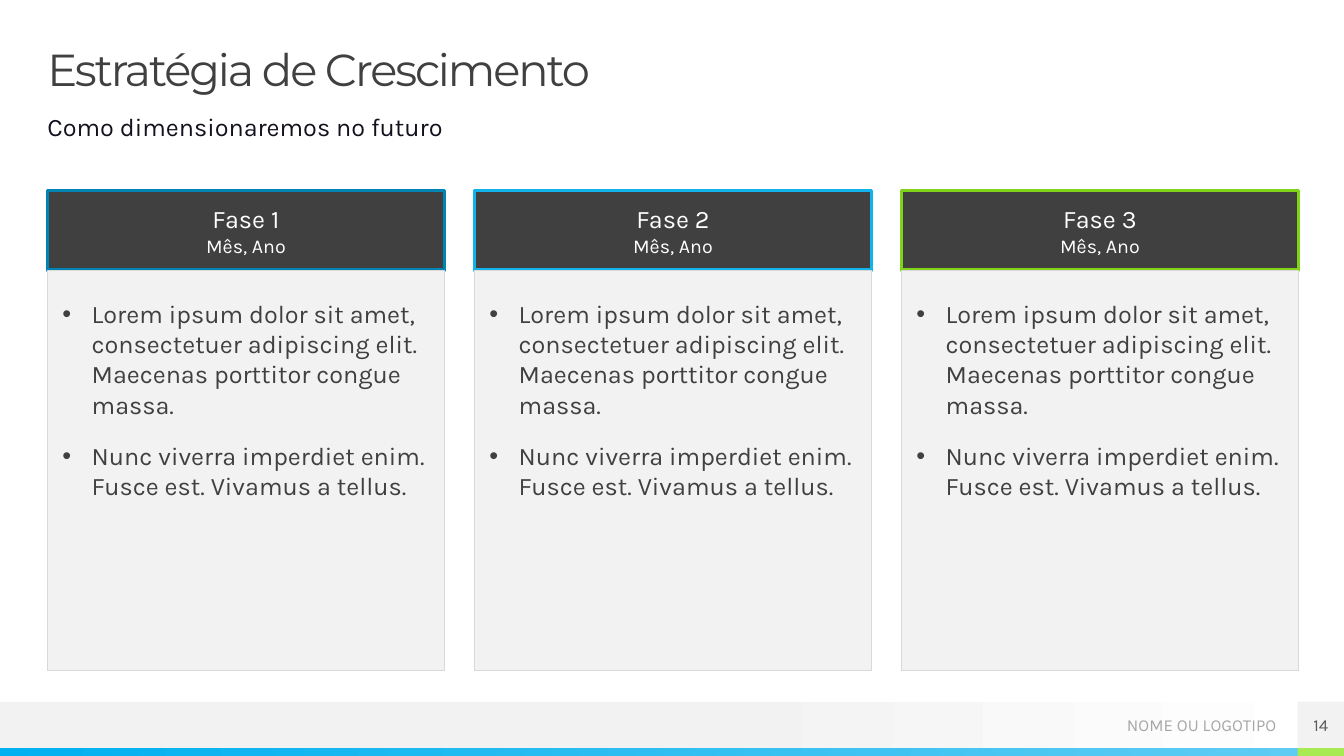
from dataclasses import dataclass

from lxml import etree
from pptx import Presentation
from pptx.dml.color import RGBColor
from pptx.enum import shapes, text
from pptx.oxml import ns
from pptx.util import Inches, Pt

TITLE = "Estratégia de Crescimento"
SUBTITLE = "Como dimensionaremos no futuro"
GOALS = [
    "Lorem ipsum dolor sit amet, consectetuer adipiscing elit. Maecenas porttitor congue massa.",
    "Nunc viverra imperdiet enim. Fusce est. Vivamus a tellus.",
]
PHASES = [
    ("Fase 1", "Mês, Ano", "0084B4", GOALS),
    ("Fase 2", "Mês, Ano", "12B2EB", GOALS),
    ("Fase 3", "Mês, Ano", "81D31A", GOALS),
]
FOOTER = "NOME OU LOGOTIPO"
PAGE_NUMBER = "14"


@dataclass(frozen=True)
class Theme:
    heading_font: str = "Montserrat"
    body_font: str = "Karla"
    title_size: int = 32
    body_size: int = 18
    date_size: int = 14
    footer_size: int = 12
    dark: str = "404040"
    ink: str = "12121E"
    white: str = "FFFFFF"
    panel: str = "F2F2F2"
    panel_line: str = "D9D9D9"
    footer_text: str = "A6A6A6"
    number_text: str = "595959"
    bar_start: str = "00B0F0"
    bar_end: str = "5ECCF3"
    corner: str = "A7EA52"


THEME = Theme()
SLIDE_WIDTH, SLIDE_HEIGHT = 13.33, 7.5
MARGIN, CONTENT_WIDTH = 0.47, 12.41
CARD_WIDTH, HEADER_TOP, HEADER_HEIGHT, PANEL_HEIGHT = 3.94, 1.89, 0.79, 3.97
FOOTER_TOP, FOOTER_HEIGHT, BAR_HEIGHT = 6.96, 0.46, 0.08
CORNER_LEFT = SLIDE_WIDTH - FOOTER_HEIGHT
BAR_TOP = SLIDE_HEIGHT - BAR_HEIGHT


def add_box(slide, box, fill, line=None, line_width=0.75):
    """Add a rectangle; fill is one colour or a list of (position, colour) stops."""
    shape = slide.shapes.add_shape(shapes.MSO_SHAPE.RECTANGLE, *map(Inches, box))
    shape.shadow.inherit = False
    if isinstance(fill, str):
        shape.fill.solid()
        shape.fill.fore_color.rgb = RGBColor.from_string(fill)
    else:
        shape.fill.gradient()
        shape.fill.gradient_angle = 0
        for stop, (position, color) in zip(shape.fill.gradient_stops, fill):
            stop.position = position
            stop.color.rgb = RGBColor.from_string(color)
    if line:
        shape.line.color.rgb = RGBColor.from_string(line)
        shape.line.width = Pt(line_width)
    else:
        shape.line.fill.background()
    return shape


def set_frame(shape, insets=(0, 0, 0, 0), anchor=text.MSO_ANCHOR.TOP):
    frame = shape.text_frame
    frame.word_wrap = True
    frame.auto_size = text.MSO_AUTO_SIZE.NONE
    frame.vertical_anchor = anchor
    (frame.margin_left, frame.margin_top,
     frame.margin_right, frame.margin_bottom) = map(Inches, insets)
    return frame


def format_paragraph(paragraph, alignment=text.PP_ALIGN.LEFT, before=0, after=0):
    paragraph.alignment = alignment
    paragraph.space_before, paragraph.space_after = Pt(before), Pt(after)
    return paragraph


def add_run(paragraph, words, size, color, font=THEME.body_font):
    run = paragraph.add_run()
    run.text = words
    run.font.name = font
    run.font.size = Pt(size)
    run.font.color.rgb = RGBColor.from_string(color)
    return run


def set_bullet(paragraph, color):
    properties = paragraph._p.get_or_add_pPr()
    indent = Inches(0.29)
    properties.set("marL", str(indent))
    properties.set("indent", str(-indent))
    bullet_color = etree.SubElement(properties, ns.qn("a:buClr"))
    etree.SubElement(bullet_color, ns.qn("a:srgbClr"), val=color)
    etree.SubElement(properties, ns.qn("a:buFont"), typeface="Arial")
    etree.SubElement(properties, ns.qn("a:buChar"), char="•")


def add_text_box(slide, box):
    return slide.shapes.add_textbox(*map(Inches, box))


def add_footer(slide):
    add_box(slide, (0, FOOTER_TOP, SLIDE_WIDTH, FOOTER_HEIGHT),
            [(0.53, THEME.panel), (1, THEME.white)])
    add_box(slide, (0, BAR_TOP, CORNER_LEFT, BAR_HEIGHT),
            [(0, THEME.bar_start), (1, THEME.bar_end)])
    add_box(slide, (CORNER_LEFT, BAR_TOP, FOOTER_HEIGHT, BAR_HEIGHT), THEME.corner)
    name = add_text_box(slide, (10.42, FOOTER_TOP, 2.24, 0.47))
    number = add_box(slide, (CORNER_LEFT, FOOTER_TOP, FOOTER_HEIGHT, FOOTER_HEIGHT), THEME.panel)
    for shape, words, color, alignment in (
        (name, FOOTER, THEME.footer_text, text.PP_ALIGN.RIGHT),
        (number, PAGE_NUMBER, THEME.number_text, text.PP_ALIGN.CENTER),
    ):
        frame = set_frame(shape, anchor=text.MSO_ANCHOR.MIDDLE)
        paragraph = format_paragraph(frame.paragraphs[0], alignment)
        add_run(paragraph, words, THEME.footer_size, color)


def add_headings(slide):
    title = slide.shapes.title
    title.left, title.top, title.width, title.height = map(
        Inches, (MARGIN, 0.47, CONTENT_WIDTH, 0.47))
    paragraph = format_paragraph(set_frame(title).paragraphs[0])
    paragraph.line_spacing = 0.9
    run = add_run(paragraph, TITLE, THEME.title_size, THEME.dark, THEME.heading_font)
    run.font._element.set("spc", "-150")

    subtitle = add_text_box(slide, (MARGIN, 1.1, CONTENT_WIDTH, 0.39))
    paragraph = format_paragraph(set_frame(subtitle).paragraphs[0], before=10, after=5)
    add_run(paragraph, SUBTITLE, THEME.body_size, THEME.ink)


def add_phase(slide, left, name, date, accent, goals):
    header = add_box(slide, (left, HEADER_TOP, CARD_WIDTH, HEADER_HEIGHT),
                     THEME.dark, accent, 2.5)
    frame = set_frame(header, (0.12, 0.04, 0.12, 0.04), text.MSO_ANCHOR.MIDDLE)
    paragraph = format_paragraph(frame.paragraphs[0], text.PP_ALIGN.CENTER, 10, 5)
    add_run(paragraph, name, THEME.body_size, THEME.white)
    paragraph.add_line_break()
    add_run(paragraph, date, THEME.date_size, THEME.white)

    panel = add_box(slide, (left, HEADER_TOP + HEADER_HEIGHT, CARD_WIDTH, PANEL_HEIGHT),
                    THEME.panel, THEME.panel_line)
    frame = set_frame(panel, (0.15, 0.28, 0.15, 0))
    for index, goal in enumerate(goals):
        paragraph = frame.add_paragraph() if index else frame.paragraphs[0]
        format_paragraph(paragraph, before=10, after=5)
        set_bullet(paragraph, THEME.dark)
        add_run(paragraph, goal, THEME.body_size, THEME.dark)


def main():
    presentation = Presentation()
    presentation.slide_width = Inches(SLIDE_WIDTH)
    presentation.slide_height = Inches(SLIDE_HEIGHT)
    slide = presentation.slides.add_slide(presentation.slide_layouts.get_by_name("Title Only"))
    add_footer(slide)
    add_headings(slide)
    pitch = (CONTENT_WIDTH - CARD_WIDTH) / (len(PHASES) - 1)
    for index, phase in enumerate(PHASES):
        add_phase(slide, MARGIN + index * pitch, *phase)
    presentation.save("out.pptx")


if __name__ == "__main__":
    main()
